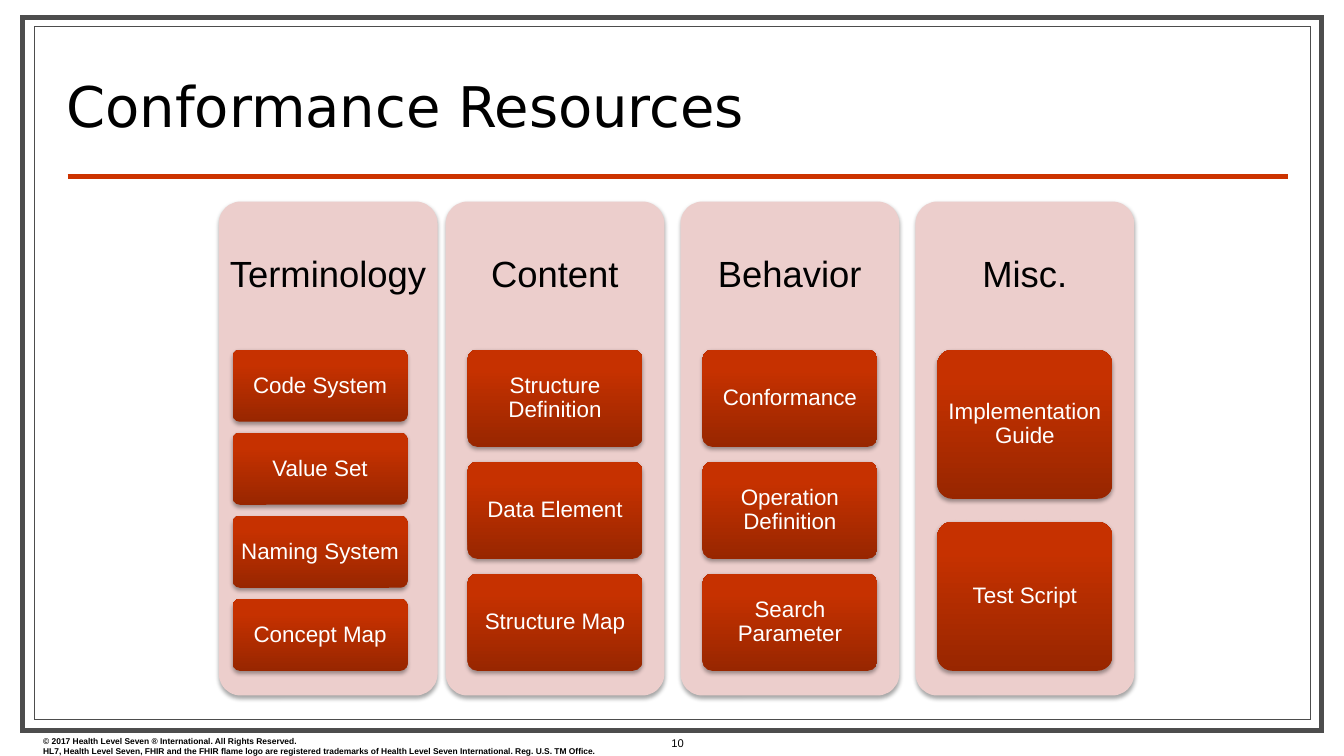
"""Build the slide that sorts conformance resources into four columns."""
from lxml import etree
from pptx import Presentation
from pptx.dml.color import RGBColor
from pptx.enum.shapes import MSO_CONNECTOR as Wire, MSO_SHAPE as Kind
from pptx.enum.text import MSO_ANCHOR as Anchor, PP_ALIGN as Align
from pptx.oxml import parse_xml
from pptx.oxml.ns import nsdecls, qn
from pptx.util import Inches, Pt

TITLE = "Conformance Resources"
GROUPS = {
    "Terminology": ["Code System", "Value Set", "Naming System", "Concept Map"],
    "Content": ["Structure Definition", "Data Element", "Structure Map"],
    "Behavior": ["Conformance", "Operation Definition", "Search Parameter"],
    "Misc.": ["Implementation Guide", "Test Script"],
}
LEGAL = [
    "© 2017 Health Level Seven ® International. All Rights Reserved.",
    "HL7, Health Level Seven, FHIR and the FHIR flame logo are registered "
    "trademarks of Health Level Seven International. Reg. U.S. TM Office.",
]
NUMBER = "10"
FRAMES = [((0.22, 0.17, 12.89, 7.08), 3.5), ((0.34, 0.26, 12.66, 6.88), 0.75)]

BLACK, WHITE, GRAY = "000000", "FFFFFF", "4D4D4D"
RED, PINK = "CC3300", "ECCECC"
DARK, LIGHT = "982600", "C63100"

LEFT, TOP, WIDE, HIGH = 2.09, 2, 2.17, 4.9
STEP = 2.33
NUDGE = [0.08, 0, 0, 0]
HEAD, BODY = 0.3 * HIGH, 0.65 * HIGH
CARD = 0.8 * WIDE
GAP = 0.154
SHADE = (
    f'<a:effectLst {nsdecls("a")}><a:outerShdw blurRad="39400" dist="22900" '
    'dir="5400000" rotWithShape="0"><a:srgbClr val="000000">'
    '<a:alpha val="35000"/></a:srgbClr></a:outerShdw></a:effectLst>'
)


def color(code):
    return RGBColor.from_string(code)


def inches(box):
    return [Inches(side) for side in box]


def write(frame, lines, size, tint=BLACK, face="Arial", bold=False,
          align=Align.LEFT, anchor=Anchor.TOP, space=None):
    frame.word_wrap = True
    frame.vertical_anchor = anchor
    frame.text = "\n".join(lines)
    for par in frame.paragraphs:
        par.alignment = align
        par.line_spacing = space
        font = par.font
        font.name, font.size, font.bold = face, Pt(size), bold
        font.color.rgb = color(tint)


def pad(frame, left, top, right, base):
    frame.margin_left, frame.margin_top = Inches(left), Inches(top)
    frame.margin_right, frame.margin_bottom = Inches(right), Inches(base)


def tile(slide, box, text, size, tint, pads):
    shape = slide.shapes.add_shape(Kind.ROUNDED_RECTANGLE, *inches(box))
    shape.adjustments[0] = 0.1
    shape.line.fill.background()
    shape._element.spPr.append(parse_xml(SHADE))
    pad(shape.text_frame, *pads)
    write(shape.text_frame, [text], size, tint, align=Align.CENTER,
          anchor=Anchor.MIDDLE, space=0.9)
    return shape.fill


def column(slide, index, name, items):
    left = LEFT + index * STEP
    fill = tile(slide, (left + NUDGE[index], TOP, WIDE, HIGH), name, 26, BLACK,
                (0.02, 0.11, 0.02, HIGH - HEAD + 0.11))
    fill.solid()
    fill.fore_color.rgb = color(PINK)
    high = BODY / (len(items) + GAP * (len(items) - 1))
    for row, item in enumerate(items):
        top = TOP + HEAD + row * high * (1 + GAP)
        fill = tile(slide, (left + (WIDE - CARD) / 2, top, CARD, high), item,
                    16, WHITE, (0.04, 0.05, 0.04, 0.05))
        fill.gradient()
        fill.gradient_angle = 90
        for stop, (place, code) in zip(fill.gradient_stops,
                                       [(0, DARK), (0.8, LIGHT)]):
            stop.position = place
            stop.color.rgb = color(code)


def backdrop(slide):
    for box, width in FRAMES:
        frame = slide.shapes.add_shape(Kind.RECTANGLE, *inches(box))
        frame.shadow.inherit = False
        frame.fill.solid()
        frame.fill.fore_color.rgb = color(WHITE)
        frame.line.color.rgb = color(GRAY)
        frame.line.width = Pt(width)
        edge = frame._element.spPr.find(qn("a:ln"))
        etree.SubElement(edge, qn("a:miter"), lim="800000")
    rule = slide.shapes.add_connector(Wire.STRAIGHT,
                                      *inches((0.67, 1.75, 12.77, 1.75)))
    rule.line.color.rgb = color(RED)
    rule.line.width = Pt(3)
    etree.SubElement(rule._element.spPr, qn("a:effectLst"))


def main():
    deck = Presentation()
    deck.slide_width, deck.slide_height = Inches(13.33), Inches(7.5)
    slide = deck.slides.add_slide(deck.slide_layouts[5])
    backdrop(slide)
    legal = slide.shapes.add_textbox(*inches((0.33, 7.25, 6.44, 0.3)))
    write(legal.text_frame, LEGAL, 6, bold=True)

    title = slide.shapes.title
    title.left, title.top, title.width, title.height = inches(
        (0.56, 0.52, 10.2, 0.9))
    write(title.text_frame, [TITLE], 40, face="DejaVu Sans",
          anchor=Anchor.BOTTOM, space=0.8)
    slide.shapes._spTree.append(title._element)

    number = slide.shapes.add_textbox(*inches((6.33, 7.25, 0.78, 0.25)))
    write(number.text_frame, [NUMBER], 8, align=Align.CENTER,
          anchor=Anchor.MIDDLE)
    for index, (name, items) in enumerate(GROUPS.items()):
        column(slide, index, name, items)
    deck.save("out.pptx")


if __name__ == "__main__":
    main()
